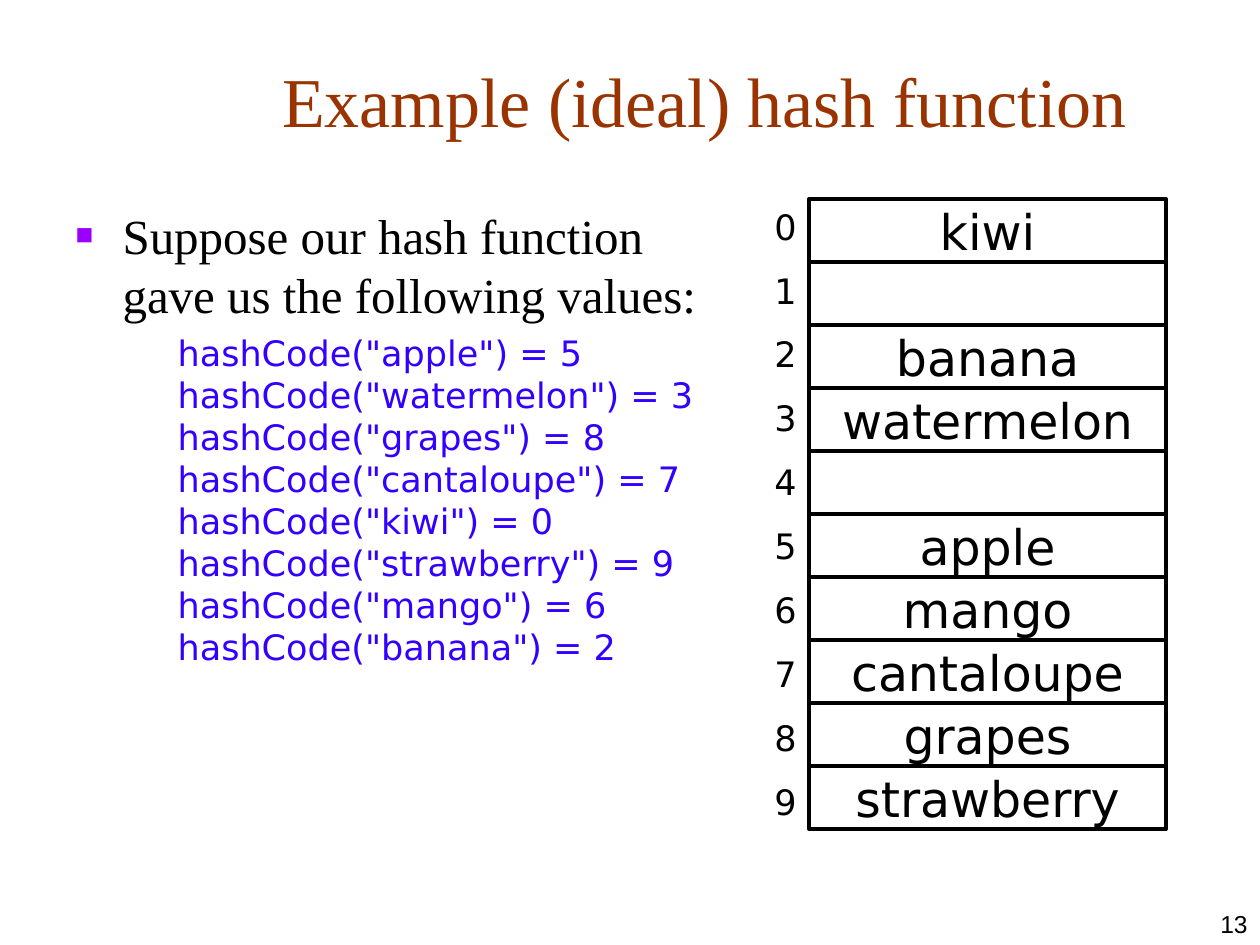
from lxml import etree
from pptx import Presentation, util as u
from pptx.dml.color import RGBColor
from pptx.enum import shapes, text
from pptx.oxml.ns import qn

# Content
TITLE = "Example (ideal) hash function"
INTRO = "Suppose our hash function gave us the following values:"
HASHES = [("apple", 5), ("watermelon", 3), ("grapes", 8), ("cantaloupe", 7),
          ("kiwi", 0), ("strawberry", 9), ("mango", 6), ("banana", 2)]
SLOTS = 10
PAGE = "13"

COLORS = {"title": "993300", "text": "000000", "code": "3300FF", "bullet": "9900FF"}
SERIF, SANS, PLAIN = "Times New Roman", "DejaVu Sans", "Arial"

# Layout in px, 126 to the inch
TITLE_BOX = (168, 32, 1073, 116)
BODY_BOX = (63, 199, 672, 640)
INDEX_BOX = (762, 199, 45, 630)
PAGE_BOX = (998, 882, 262, 63)
TABLE_X, TABLE_Y, SLOT_W, SLOT_H = 809, 199, 357, 63


def px(n):
    return u.Emu(round(n * 914400 / 126))


def place(shape, box):
    shape.left, shape.top, shape.width, shape.height = map(px, box)


def style(paragraph, font, size, color, align=None, before=0):
    paragraph.font.name = font
    paragraph.font.size = u.Pt(size)
    paragraph.font.color.rgb = RGBColor.from_string(COLORS[color])
    paragraph.alignment = align
    paragraph.space_before = u.Pt(before)


def set_bullet(paragraph, margin, indent, char=None):
    props = paragraph._p.get_or_add_pPr()
    props.set("marL", str(px(margin)))
    props.set("indent", str(px(indent)))
    if char is None:
        etree.SubElement(props, qn("a:buNone"))
        return
    color = etree.SubElement(props, qn("a:buClr"))
    etree.SubElement(color, qn("a:srgbClr"), val=COLORS["bullet"])
    etree.SubElement(props, qn("a:buSzPct"), val="60000")
    etree.SubElement(props, qn("a:buFont"), typeface=PLAIN)
    etree.SubElement(props, qn("a:buChar"), char=char)


prs = Presentation()
prs.slide_width, prs.slide_height = px(1260), px(945)
slide = prs.slides.add_slide(prs.slide_layouts[1])

# Title
title = slide.shapes.title
place(title, TITLE_BOX)
title.text_frame.text = TITLE
title.text_frame.auto_size = text.MSO_AUTO_SIZE.NONE
title.text_frame.vertical_anchor = text.MSO_ANCHOR.BOTTOM
style(title.text_frame.paragraphs[0], SERIF, 40, "title", text.PP_ALIGN.CENTER)

# Introduction and hash values
body = slide.placeholders[1]
place(body, BODY_BOX)
body.text_frame.auto_size = text.MSO_AUTO_SIZE.NONE
intro = body.text_frame.paragraphs[0]
intro.text = INTRO
set_bullet(intro, 47, -47, "■")
style(intro, SERIF, 28, "text")
values = body.text_frame.add_paragraph()
values.text = "\v".join(f'hashCode("{key}") = {code}' for key, code in HASHES)
values.level = 1
set_bullet(values, 102, 0)
style(values, SANS, 20, "code", before=5)

# Hash table: each key sits in the slot of its hash code
table = slide.shapes.add_group_shape()
key_at = {code: key for key, code in HASHES}
for i in range(SLOTS):
    slot = table.shapes.add_shape(
        shapes.MSO_SHAPE.FLOWCHART_PROCESS,
        px(TABLE_X), px(TABLE_Y + i * SLOT_H), px(SLOT_W), px(SLOT_H))
    slot.shadow.inherit = False
    slot.fill.background()
    slot.line.color.rgb = RGBColor.from_string(COLORS["text"])
    slot.line.width = u.Pt(2.25)
    if i in key_at:
        frame = slot.text_frame
        frame.text = key_at[i]
        frame.word_wrap = False
        frame.vertical_anchor = text.MSO_ANCHOR.MIDDLE
        style(frame.paragraphs[0], SANS, 28, "text", text.PP_ALIGN.CENTER)

# Slot indices
indices = table.shapes.add_textbox(*map(px, INDEX_BOX)).text_frame
indices.word_wrap = False
indices.text = "\n".join(str(i) for i in range(SLOTS))
for i, index in enumerate(indices.paragraphs):
    style(index, SANS, 20, "text", before=12.5 if i else 0)

# Page number
page = slide.shapes.add_textbox(*map(px, PAGE_BOX)).text_frame
page.word_wrap = True
page.vertical_anchor = text.MSO_ANCHOR.BOTTOM
page.text = PAGE
style(page.paragraphs[0], PLAIN, 14, "text", text.PP_ALIGN.RIGHT)

prs.save("out.pptx")
